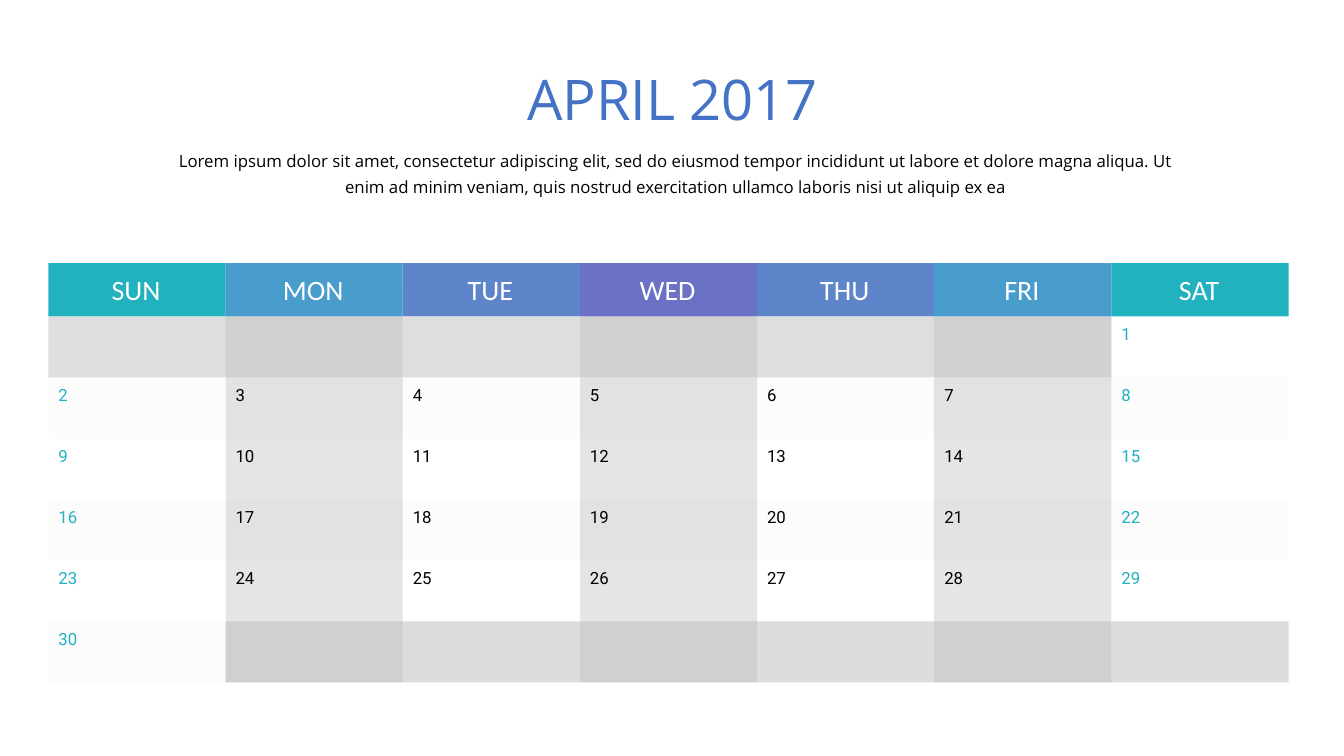
import pptx
import pptx.util
import pptx.dml.color
import pptx.enum.shapes
import pptx.enum.text
import pptx.oxml
import pptx.oxml.ns
import lxml.etree

Inches = pptx.util.Inches
RGBColor = pptx.dml.color.RGBColor
PP_ALIGN = pptx.enum.text.PP_ALIGN
MSO_ANCHOR = pptx.enum.text.MSO_ANCHOR

TEAL = RGBColor(0x22, 0xB1, 0xBF)
SKY = RGBColor(0x49, 0x9D, 0xCC)
BLUE = RGBColor(0x5E, 0x85, 0xCA)
VIOLET = RGBColor(0x6B, 0x71, 0xC5)
TITLE_BLUE = RGBColor(0x44, 0x72, 0xC4)
WHITE = RGBColor(0xFF, 0xFF, 0xFF)
BLACK = RGBColor(0, 0, 0)
PALE = RGBColor(0xE7, 0xE6, 0xE6)
GREY = RGBColor(0xBF, 0xBF, 0xBF)

WEEKDAYS = [("SUN", TEAL), ("MON", SKY), ("TUE", BLUE), ("WED", VIOLET),
            ("THU", BLUE), ("FRI", SKY), ("SAT", TEAL)]
LEFT, HEADER_TOP, HEADER_HEIGHT = 0.48, 2.61, 0.53
GRID_TOP, GRID_WIDTH = 3.14, 12.3
COLUMN = GRID_WIDTH / 7
ROW = 0.605
FIRST_COLUMN = 6  # the 1st is a Saturday
DAYS = 30


def add_block(shapes, left, top, width, height, color, opacity=100):
    block = shapes.add_shape(pptx.enum.shapes.MSO_SHAPE.RECTANGLE, Inches(left),
                             Inches(top), Inches(width), Inches(height))
    block.shadow.inherit = False
    block.line.fill.background()
    block.fill.solid()
    block.fill.fore_color.rgb = color
    if opacity < 100:
        tint = block.fill._xPr.find(".//" + pptx.oxml.ns.qn("a:srgbClr"))
        alpha = lxml.etree.SubElement(tint, pptx.oxml.ns.qn("a:alpha"))
        alpha.set("val", str(opacity * 1000))


def write_text(box, text, margin, anchor, align, color, font):
    frame = box.text_frame
    frame.word_wrap = True
    frame.auto_size = pptx.enum.text.MSO_AUTO_SIZE.NONE
    frame.vertical_anchor = anchor
    for side in ("left", "top", "right", "bottom"):
        setattr(frame, "margin_" + side, Inches(margin))
    para = frame.paragraphs[0]
    para.alignment = align
    span = para.add_run()
    span.text = text
    span.font.color.rgb = color
    for name, value in font.items():
        setattr(span.font, name, value)
    return para


deck = pptx.Presentation()
deck.slide_width = Inches(13.33)
deck.slide_height = Inches(7.5)
page = deck.slides.add_slide(deck.slide_layouts[5])

# Title
title = page.shapes.title
place = {"left": 5.18, "top": 0.64, "width": 2.98, "height": 0.67}
for name, value in place.items():
    setattr(title, name, Inches(value))
write_text(title, "APRIL 2017", 0, MSO_ANCHOR.TOP, PP_ALIGN.CENTER, TITLE_BLUE,
           {"name": "Open Sans", "size": pptx.util.Pt(40)})
title.text_frame.word_wrap = False

# Description
description = page.shapes.add_textbox(Inches(1.71), Inches(1.45), Inches(9.99), Inches(0.5))
para = write_text(
    description,
    "Lorem ipsum dolor sit amet, consectetur adipiscing elit, sed do eiusmod tempor "
    "incididunt ut labore et dolore magna aliqua. Ut enim ad minim veniam, quis nostrud "
    "exercitation ullamco laboris nisi ut aliquip ex ea",
    0, MSO_ANCHOR.TOP, PP_ALIGN.CENTER, BLACK,
    {"name": "Open Sans", "size": pptx.util.Pt(12)})
para.line_spacing = 1.25

calendar = page.shapes.add_group_shape().shapes

# Pale bands on every second week
for week in (1, 3, 5):
    add_block(calendar, LEFT, GRID_TOP + week * ROW, GRID_WIDTH, ROW, PALE, 10)

# Darker stripes on every second weekday, tucked under the header
for column in (1, 3, 5):
    add_block(calendar, LEFT + column * COLUMN, 2.82, COLUMN, 3.95, BLACK, 10)

# Weekday header
for column, (weekday, color) in enumerate(WEEKDAYS):
    left = LEFT + column * COLUMN
    add_block(calendar, left, HEADER_TOP, COLUMN, HEADER_HEIGHT, color)
    label = calendar.add_textbox(Inches(left + 0.02), Inches(2.63), Inches(1.7), Inches(0.48))
    write_text(label, weekday, 0.06, MSO_ANCHOR.MIDDLE, PP_ALIGN.CENTER, WHITE,
               {"name": "Calibri", "size": pptx.util.Pt(20)})

# Days outside the month
for first_column, week in ((0, 0), (1, 5)):
    add_block(calendar, LEFT + first_column * COLUMN, GRID_TOP + week * ROW,
              6 * COLUMN, ROW, GREY, 50)

# Day numbers
for day in range(1, DAYS + 1):
    week, column = divmod(FIRST_COLUMN + day - 1, 7)
    number = calendar.add_textbox(Inches(LEFT + column * COLUMN + 0.04),
                                  Inches(GRID_TOP + week * ROW), Inches(0.64), Inches(0.34))
    write_text(number, str(day), 0.06, MSO_ANCHOR.MIDDLE, PP_ALIGN.LEFT,
               TEAL if column in (0, 6) else BLACK,
               {"name": "Roboto", "size": pptx.util.Pt(12)})

deck.save("out.pptx")
